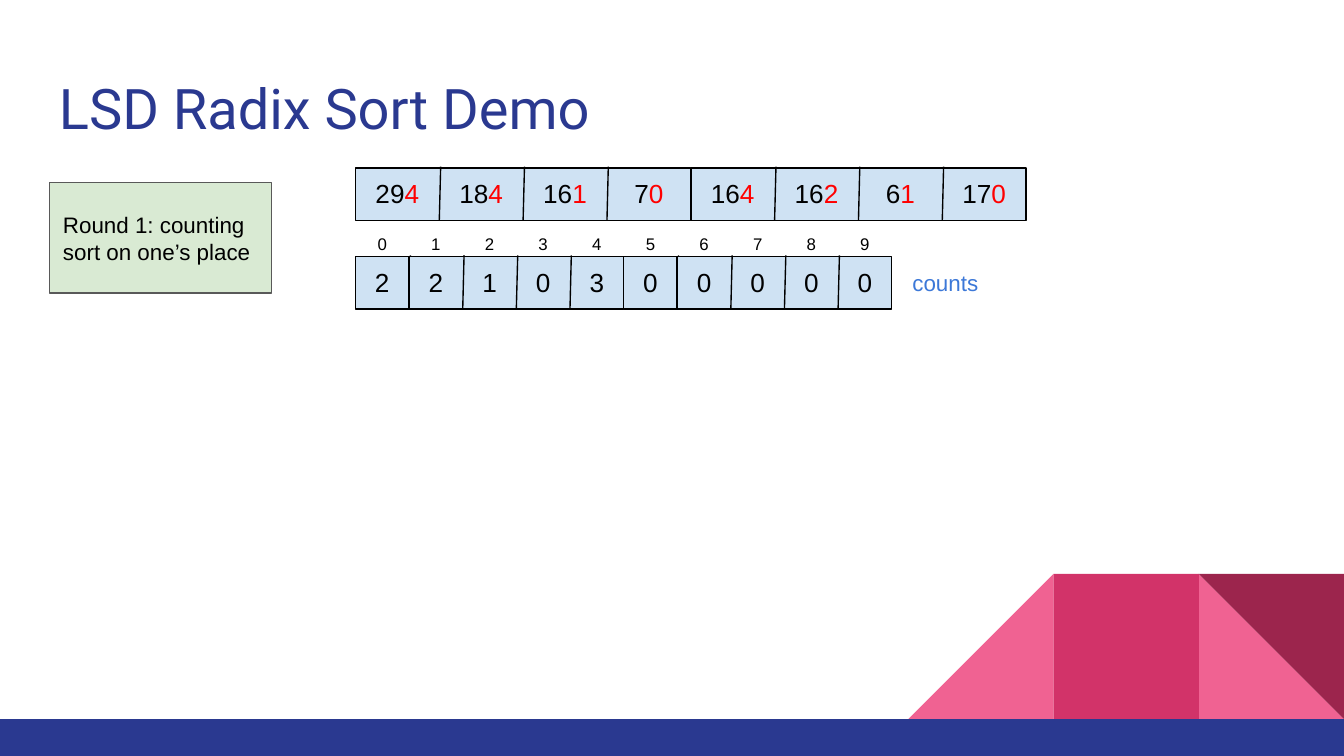
from pptx import Presentation
from pptx.dml.color import RGBColor
from pptx.enum.shapes import MSO_CONNECTOR, MSO_SHAPE as Shape
from pptx.enum.text import MSO_ANCHOR as Anchor, PP_ALIGN as Align
from pptx.oxml.ns import qn
from pptx.util import Inches, Pt
from lxml import etree

# Content: each number splits into its leading digits and the digit being sorted
TITLE = "LSD Radix Sort Demo"
ROUND_NOTE = "Round 1: counting sort on one’s place"
NUMBERS = [("29", "4"), ("18", "4"), ("16", "1"), ("7", "0"),
           ("16", "4"), ("16", "2"), ("6", "1"), ("17", "0")]
COUNTS = [2, 2, 1, 0, 3, 0, 0, 0, 0, 0]
COUNTS_LABEL = "counts"

# Array backgrounds: (first cell, dividers after that many cells)
BLOCK_CELLS = 4
NUMBER_BLOCKS = [(0, (1, 2, 3)), (4, (5, 6, 7))]
COUNT_BLOCKS = [(0, (1, 2)), (1, (2, 3, 4)), (5, (6,)), (6, (7, 8, 9))]

THEME = {
    "title_font": "Roboto", "font": "Arial",
    "title_size": 30, "cell_size": 14, "note_size": 12, "index_size": 9,
    "navy": "2A3990", "pink": "F06292", "rose": "D23369", "wine": "9C254D",
    "cell": "CFE2F3", "note": "D9EAD3", "note_line": "595959",
    "ink": "000000", "digit": "FF0000", "label": "3C78D8",
}
LINE_WIDTH = 0.75

ARRAY_X = 2.645
NUMBERS_Y, INDEX_Y, COUNTS_Y = 1.24, 1.66, 1.9
CELL_H, INDEX_H = 0.4, 0.26
NUMBER_W = 4.99 / len(NUMBERS)
COUNT_W = 3.99 / len(COUNTS)
TILE, TILE_Y = 1.08, 4.27

prs = Presentation()
prs.slide_width = Inches(10)
prs.slide_height = prs.slide_width * 9 // 16
slide = prs.slides.add_slide(prs.slide_layouts[6])


def color(name):
    return RGBColor.from_string(THEME[name])


def add_shape(kind, x, y, w, h, fill, line=None):
    sp = slide.shapes.add_shape(kind, Inches(x), Inches(y), Inches(w), Inches(h))
    sp.shadow.inherit = False
    sp.fill.solid()
    sp.fill.fore_color.rgb = color(fill)
    if line:
        sp.line.color.rgb = color(line)
        sp.line.width = Pt(LINE_WIDTH)
    else:
        sp.line.fill.background()
    return sp


def set_text(sp, runs, size, font="font", align=Align.LEFT, anchor=Anchor.TOP):
    """Fill a shape with one paragraph of (text, color) runs."""
    tf = sp.text_frame
    tf.word_wrap = True
    tf.vertical_anchor = anchor
    tf.margin_left = tf.margin_right = tf.margin_top = tf.margin_bottom = Inches(0.1)
    p = tf.paragraphs[0]
    p.alignment = align
    p.font.size, p.font.name = Pt(THEME[size]), THEME[font]
    for text, name in runs:
        r = p.add_run()
        r.text = text
        r.font.color.rgb = color(name)


def add_text(x, y, w, h, runs, size, **style):
    box = slide.shapes.add_textbox(Inches(x), Inches(y), Inches(w), Inches(h))
    set_text(box, runs, size, **style)


def add_divider(x, y):
    line = slide.shapes.add_connector(MSO_CONNECTOR.STRAIGHT, Inches(x + 0.01), Inches(y),
                                      Inches(x), Inches(y + CELL_H))
    line.line.color.rgb = color("ink")
    line.line.width = Pt(LINE_WIDTH)
    etree.SubElement(line._element.spPr, qn("a:effectLst"))


def add_array(y, cell_w, blocks, cells):
    for first, dividers in blocks:
        add_shape(Shape.RECTANGLE, ARRAY_X + first * cell_w, y + 0.01,
                  BLOCK_CELLS * cell_w, CELL_H - 0.01, "cell", "ink")
        for i in dividers:
            add_divider(ARRAY_X + i * cell_w, y)
    for i, runs in enumerate(cells):
        add_text(ARRAY_X + i * cell_w, y, cell_w, CELL_H, runs, "cell_size",
                 align=Align.CENTER, anchor=Anchor.MIDDLE)


# Corner decoration and footer bar
right_x, middle_x, left_x = (10 - n * TILE for n in (1, 2, 3))
add_shape(Shape.RIGHT_TRIANGLE, right_x, TILE_Y, TILE, TILE, "pink")
left = add_shape(Shape.RIGHT_TRIANGLE, left_x, TILE_Y, TILE, TILE, "pink")
left._element.spPr.xfrm.set("flipH", "1")
add_shape(Shape.RECTANGLE, middle_x, TILE_Y, TILE, TILE, "rose")
corner = add_shape(Shape.RIGHT_TRIANGLE, right_x, TILE_Y, TILE, TILE, "wine")
corner.rotation = 180
add_shape(Shape.RECTANGLE, 0, TILE_Y + TILE, 10, 0.28, "navy")

# Title
add_text(0.34, 0.45, 9.32, 0.66, [(TITLE, "navy")], "title_size", font="title_font")

# Numbers to sort
add_array(NUMBERS_Y, NUMBER_W, NUMBER_BLOCKS,
          [[(lead, "ink"), (last, "digit")] for lead, last in NUMBERS])

# Round note
note = add_shape(Shape.RECTANGLE, 0.37, 1.36, 1.65, 0.82, "note", "note_line")
set_text(note, [(ROUND_NOTE, "ink")], "note_size", anchor=Anchor.MIDDLE)

# Counts with their digit indexes
add_array(COUNTS_Y, COUNT_W, COUNT_BLOCKS, [[(str(n), "ink")] for n in COUNTS])
for i in range(len(COUNTS)):
    add_text(ARRAY_X + i * COUNT_W, INDEX_Y, COUNT_W, INDEX_H, [(str(i), "ink")],
             "index_size", align=Align.CENTER)
add_text(6.69, COUNTS_Y, 0.95, CELL_H, [(COUNTS_LABEL, "label")], "note_size")

prs.save("out.pptx")
